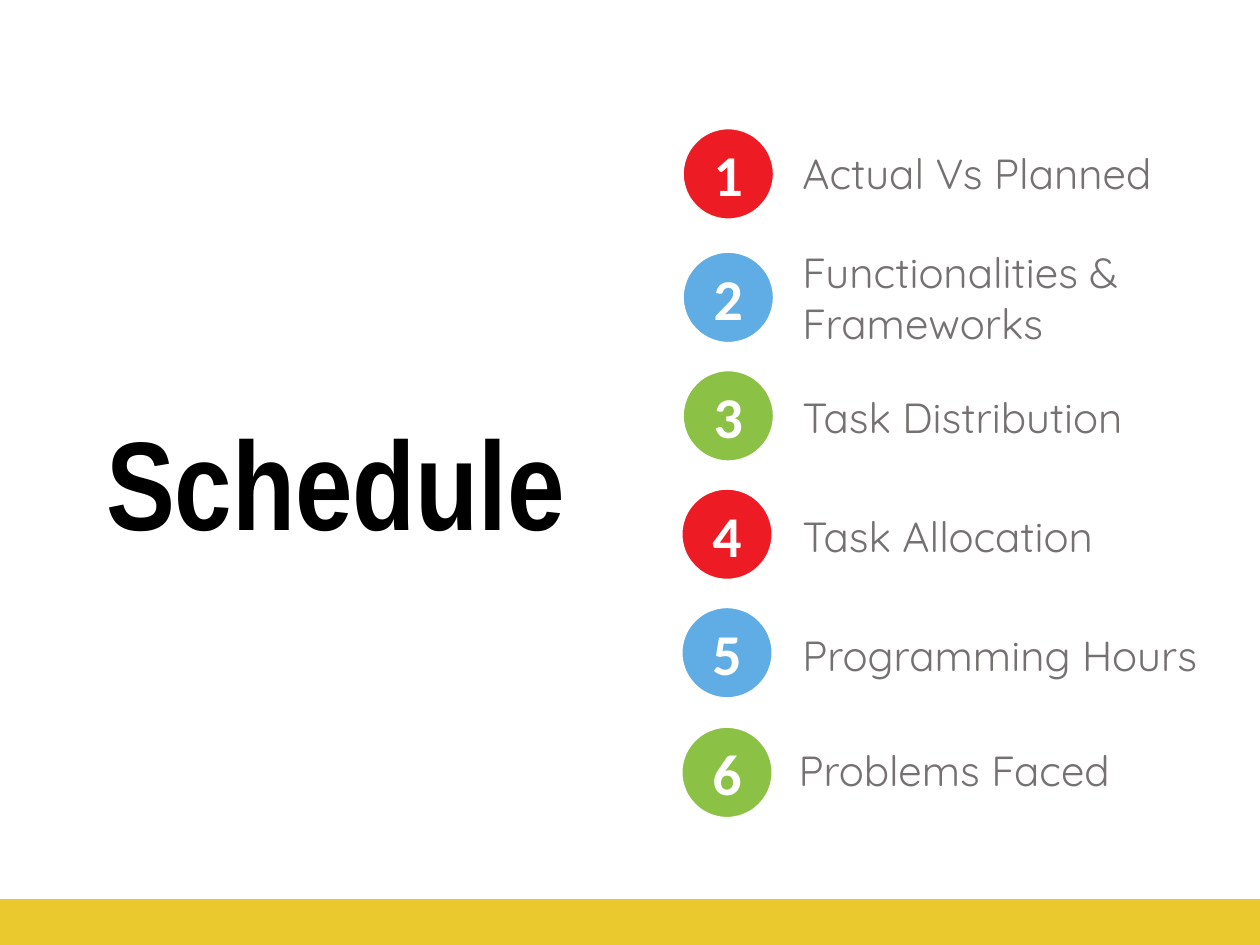
from pptx import Presentation
from pptx import util as u
from pptx.dml.color import RGBColor
from pptx.enum import shapes, text

# Content: label, circle left, circle top, label left, label top, label height (inches)
TITLE = "Schedule"
AGENDA = [
    ("Actual Vs Planned", 5.42, 1.02, 6.27, 1.12, 0.73),
    ("Functionalities & Frameworks", 5.42, 2.00, 6.27, 1.91, 1.14),
    ("Task Distribution", 5.42, 2.94, 6.27, 3.06, 0.73),
    ("Task Allocation", 5.41, 3.88, 6.27, 4.00, 0.73),
    ("Programming Hours", 5.41, 4.82, 6.27, 4.95, 0.73),
    ("Problems Faced", 5.41, 5.77, 6.24, 5.86, 0.73),
]
COLORS = {"red": "ED1C24", "blue": "5FADE4", "green": "8BC145",
          "white": "FFFFFF", "grey": "767171", "black": "000000", "yellow": "E9C92D"}
CYCLE = ["red", "blue", "green"]
W, H = 10, 7.5
CIRCLE, LABEL_W, BAR_H = 0.72, 3.47, 0.36


def rgb(name):
    return RGBColor.from_string(COLORS[name])


def box(*lengths):
    return [u.Inches(v) for v in lengths]


def write(s, words, font, size, color, bold=False, align=None):
    tf = s.text_frame
    tf.word_wrap = True
    tf.text = words
    p = tf.paragraphs[0]
    p.alignment = align
    f = p.runs[0].font
    f.name, f.size, f.bold = font, u.Pt(size), bold
    f.color.rgb = rgb(color)
    return p


def add_filled(slide, kind, at, fill, line):
    s = slide.shapes.add_shape(kind, *box(*at))
    s.shadow.inherit = False
    s.fill.solid()
    s.fill.fore_color.rgb = rgb(fill)
    s.line.color.rgb = rgb(line)
    s.line.width = u.Pt(1)
    return s


def main():
    prs = Presentation()
    prs.slide_width, prs.slide_height = box(W, H)
    slide = prs.slides.add_slide(prs.slide_layouts[0])
    subtitle = slide.placeholders[1].element
    subtitle.getparent().remove(subtitle)

    # Title
    s = slide.shapes.title
    s.left, s.top, s.width, s.height = box(0.07, 2.52, 5.19, 1.96)
    p = write(s, TITLE, "Arial Narrow", 72, "black", True, text.PP_ALIGN.CENTER)
    p.line_spacing = 0.9
    s.text_frame.vertical_anchor = text.MSO_ANCHOR.BOTTOM
    s.text_frame.auto_size = text.MSO_AUTO_SIZE.NONE

    # Numbered agenda
    for i, (label, cx, cy, lx, ly, lh) in enumerate(AGENDA):
        s = add_filled(slide, shapes.MSO_SHAPE.OVAL, (cx, cy, CIRCLE, CIRCLE),
                       CYCLE[i % len(CYCLE)], "white")
        write(s, str(i + 1), "Calibri", 33, "white", True, text.PP_ALIGN.CENTER)
        s.text_frame.vertical_anchor = text.MSO_ANCHOR.MIDDLE

        s = slide.shapes.add_textbox(*box(lx, ly, LABEL_W, lh))
        write(s, label, "Quicksand", 24, "grey")

    # Footer bar
    add_filled(slide, shapes.MSO_SHAPE.RECTANGLE, (0, H - BAR_H, W, BAR_H),
               "yellow", "yellow")

    prs.save("out.pptx")


if __name__ == "__main__":
    main()
